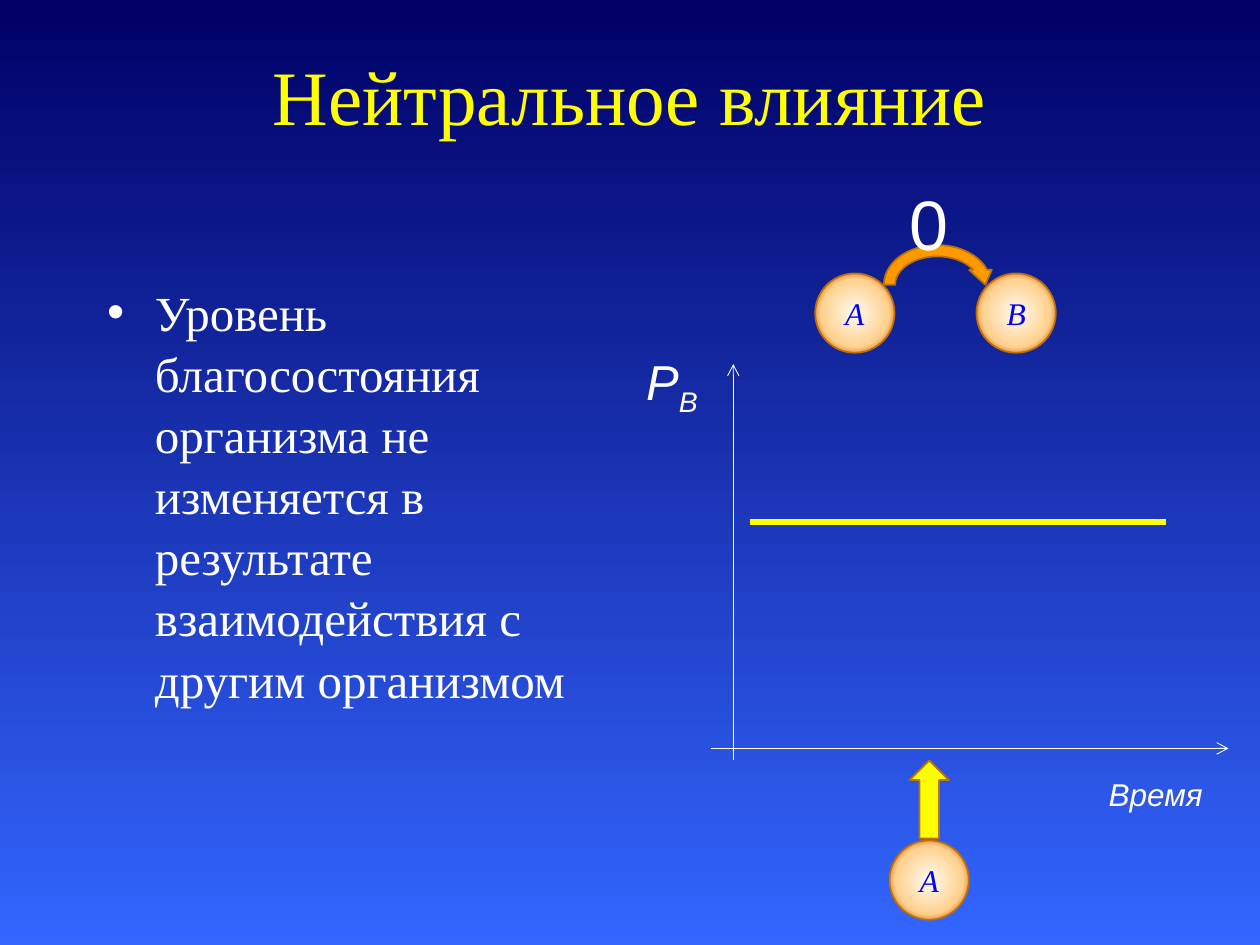
from pptx import Presentation
from pptx.dml.color import RGBColor
from pptx.enum.shapes import MSO_CONNECTOR, MSO_SHAPE
from pptx.enum.text import MSO_ANCHOR, MSO_AUTO_SIZE, PP_ALIGN
from pptx.oxml import parse_xml
from pptx.oxml.ns import nsdecls
from pptx.util import Inches, Pt

COLS, ROWS = 40, 30
CELL = 0.25
SERIF = {"name": "Times New Roman"}
SANS = {"name": "Arial", "color": "FFFFFF"}
MARK = {**SERIF, "size": Pt(18), "italic": True, "color": "0000FF"}
RIM = "BD7100"
GLOW = ((0, "FFFAF2"), (61, "FFD18C"), (84, "D45000"), (100, "FFE0B2"))
BALL = 2.52


def span(cells):
    return Inches(cells * CELL)


def place(box, x, y, w, h):
    return [span(n) for n in (box[0] + x, box[1] + y, w, h)]


def paint(target, hue):
    target.rgb = RGBColor.from_string(hue)


def style(font, form):
    for key, value in form.items():
        if key == "color":
            paint(font.color, value)
        else:
            setattr(font, key, value)


def write(frame, text, form, align=PP_ALIGN.LEFT, anchor=MSO_ANCHOR.TOP):
    looks = {"word_wrap": True, "auto_size": MSO_AUTO_SIZE.NONE,
             "vertical_anchor": anchor}
    for key, value in looks.items():
        setattr(frame, key, value)
    para = frame.paragraphs[0]
    para.alignment = align
    run = para.add_run()
    run.text = text
    style(run.font, form)
    return para


def label(slide, box, part, text, form, align=PP_ALIGN.LEFT):
    frame = slide.shapes.add_textbox(*place(box, *part)).text_frame
    return write(frame, text, form, align)


def solid(slide, kind, box, part, hue):
    shape = slide.shapes.add_shape(kind, *place(box, *part))
    shape.shadow.inherit = False
    shape.fill.solid()
    paint(shape.fill.fore_color, hue)
    paint(shape.line.color, RIM)
    shape.line.width = Pt(1)
    return shape


def ball(slide, box, x, y, text):
    shape = solid(slide, MSO_SHAPE.OVAL, box, (x, y, BALL, BALL), GLOW[1][1])
    stops = "".join(
        f'<a:gs pos="{pos * 1000}"><a:srgbClr val="{hue}"/></a:gs>'
        for pos, hue in GLOW)
    fill = parse_xml(
        f'<a:gradFill {nsdecls("a")} rotWithShape="1"><a:gsLst>{stops}</a:gsLst>'
        '<a:path path="circle"><a:fillToRect l="50000" t="50000" r="50000" '
        'b="50000"/></a:path></a:gradFill>')
    props = shape._element.spPr
    props.replace(props.find("{*}solidFill"), fill)
    write(shape.text_frame, text, MARK, PP_ALIGN.CENTER, MSO_ANCHOR.MIDDLE)


def line(slide, box, start, end, hue, width, tip=False):
    ends = [span(box[i] + point[i]) for point in (start, end) for i in (0, 1)]
    rule = slide.shapes.add_connector(MSO_CONNECTOR.STRAIGHT, *ends)
    paint(rule.line.color, hue)
    rule.line.width = Pt(width)
    if tip:
        rule.line._get_or_add_ln().append(
            parse_xml(f'<a:tailEnd {nsdecls("a")} type="arrow"/>'))
    rule._element.spPr.append(parse_xml(f'<a:effectLst {nsdecls("a")}/>'))


def seat(holder, box):
    for key, value in zip(("left", "top", "width", "height"),
                          place(box, 0, 0, *box[2:])):
        setattr(holder, key, value)
    return holder.text_frame


def back(slide):
    fill = slide.background.fill
    fill.gradient()
    fill.gradient_angle = 270
    for stop, pos, hue in zip(fill.gradient_stops, (0, 1), ("000066", "3366FF")):
        stop.position = pos
        paint(stop.color, hue)


def title(slide, box):
    write(seat(slide.shapes.title, box), "Нейтральное влияние",
          {**SERIF, "size": Pt(44), "color": "FFFF00"},
          PP_ALIGN.CENTER, MSO_ANCHOR.MIDDLE)


def body(slide, box):
    frame = seat(slide.placeholders[1], box)
    para = write(
        frame, "Уровень благосостояния организма не изменяется в результате "
        "взаимодействия с другим организмом",
        {**SERIF, "size": Pt(28), "color": "FFFFFF"})
    para.space_before = Pt(0)
    para.line_spacing = 1.04
    props = para._p.get_or_add_pPr()
    props.set("marL", str(Inches(0.38)))
    props.set("indent", str(-Inches(0.38)))
    props.append(parse_xml(f'<a:buChar {nsdecls("a")} char="•"/>'))


def link(slide, box):
    for x, text in ((0, "A"), (box[2] - BALL, "B")):
        ball(slide, box, x, box[3] - BALL, text)
    solid(slide, MSO_SHAPE.CIRCULAR_ARROW, box, (2, 2.08, 3.76, 2.88), "FF9900")
    label(slide, box, (1.48, 0, 4.28, 3.08), "0",
          {**SANS, "size": Pt(40)}, PP_ALIGN.CENTER)


def graph(slide, box):
    wide, high = box[2:]
    left, base = 3.16, 12.8
    line(slide, box, (left, high), (left, 0.6), "FFFFFF", 0.5, True)
    line(slide, box, (2.44, base), (wide, base), "FFFFFF", 0.5, True)
    label(slide, box, (14.68, 13.44, 4.6, 1.6), "Время",
          {**SANS, "size": Pt(18), "italic": True})
    form = {**SANS, "size": Pt(28), "italic": True}
    run = label(slide, box, (0, 0, left, 2.28), "P", form).add_run()
    run.text = "B"
    style(run.font, form)
    run.font._element.set("baseline", "-25000")
    line(slide, box, (3.68, 5.6), (16.88, 5.6), "FFFF00", 3.5)


def push(slide, box):
    arrow = solid(slide, MSO_SHAPE.LEFT_ARROW, box, (0.02, 0.62, 2.48, 1.24), "FFFF00")
    arrow.rotation = 90
    ball(slide, box, 0, box[3] - BALL, "A")


def main():
    deck = Presentation()
    deck.slide_width, deck.slide_height = span(COLS), span(ROWS)
    slide = deck.slides.add_slide(deck.slide_layouts[1])
    back(slide)
    title(slide, (3, 0.5, 34, 5))
    body(slide, (3, 8.68, 16.68, 18))
    link(slide, (25.88, 5.52, 7.64, 5.68))
    graph(slide, (20.12, 10.96, 18.88, 13.16))
    push(slide, (28.24, 24.14, BALL, 5.06))
    deck.save("out.pptx")


if __name__ == "__main__":
    main()
